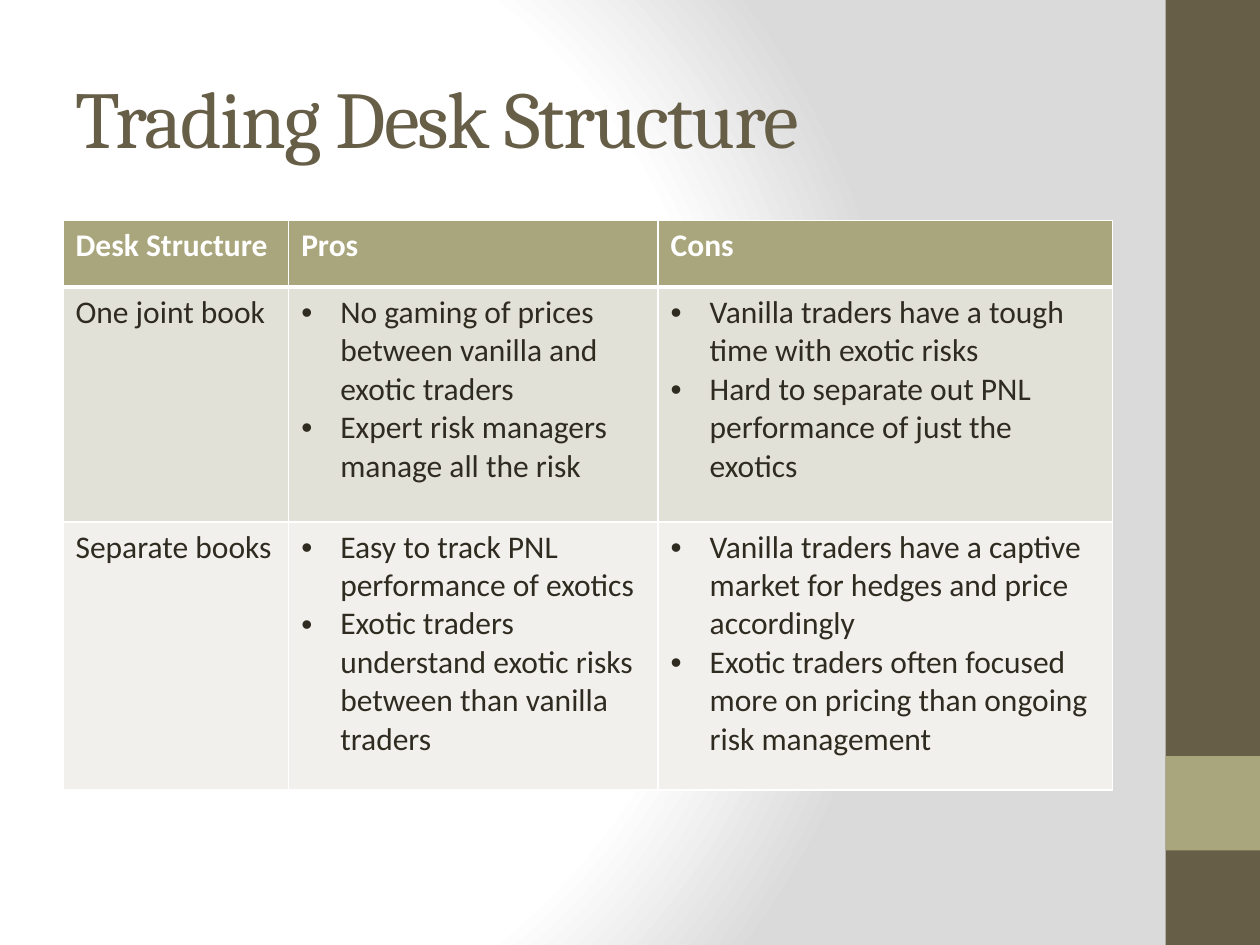
import pptx
import pptx.util
import pptx.dml.color
import pptx.enum.shapes
import pptx.enum.text
import pptx.oxml
import pptx.oxml.ns

RGB = pptx.dml.color.RGBColor
BROWN = RGB(0x67, 0x5E, 0x47)
OLIVE = RGB(0xA9, 0xA5, 0x7C)
INK = RGB(0x2F, 0x2B, 0x20)
WHITE = RGB(0xFF, 0xFF, 0xFF)
GREY = RGB(0xDA, 0xDA, 0xDA)
BANDS = [RGB(0xE2, 0xE1, 0xD7), RGB(0xF1, 0xF0, 0xEC)]
NS = pptx.oxml.ns.nsdecls("a")
W, H = 10, 7.5
INDENT = 0.31

HEADER = ["Desk Structure", "Pros", "Cons"]
BODY = [
    ["One joint book",
     ["No gaming of prices between vanilla and exotic traders",
      "Expert risk managers manage all the risk"],
     ["Vanilla traders have a tough time with exotic risks",
      "Hard to separate out PNL performance of just the exotics"]],
    ["Separate books",
     ["Easy to track PNL performance of exotics",
      "Exotic traders understand exotic risks between than vanilla traders"],
     ["Vanilla traders have a captive market for hedges and price accordingly",
      "Exotic traders often focused more on pricing than ongoing risk management"]],
]


def inches(*values):
    return [pptx.util.Inches(v) for v in values]


def add_text(tf, text, font="Calibri", size=18, color=INK, bold=False,
             spacing=None):
    """Write a string as plain text, or a list as bulleted paragraphs."""
    bulleted = isinstance(text, list)
    for i, line in enumerate(text if bulleted else [text]):
        p = tf.add_paragraph() if i else tf.paragraphs[0]
        p.alignment = pptx.enum.text.PP_ALIGN.LEFT
        if bulleted:
            pPr = p._p.get_or_add_pPr()
            pPr.set("marL", str(pptx.util.Inches(INDENT)))
            pPr.set("indent", str(-pptx.util.Inches(INDENT)))
            pPr.append(pptx.oxml.parse_xml(f'<a:buFont {NS} typeface="Arial"/>'))
            pPr.append(pptx.oxml.parse_xml(f'<a:buChar {NS} char="•"/>'))
        r = p.add_run()
        r.text = line
        r.font.name, r.font.size = font, pptx.util.Pt(size)
        r.font.bold, r.font.color.rgb = bold, color
        if spacing is not None:
            r._r.get_or_add_rPr().set("spc", str(spacing * 100))


def set_background(s):
    s.background.fill.solid()
    bgPr = s._element.find(".//" + pptx.oxml.ns.qn("p:bgPr"))
    stops = "".join(
        f'<a:gs pos="{pos * 1000}"><a:srgbClr val="{color}"/></a:gs>'
        for pos, color in [(0, WHITE), (75, WHITE), (100, GREY)])
    bgPr.replace(bgPr[0], pptx.oxml.parse_xml(
        f'<a:gradFill {NS} rotWithShape="1"><a:gsLst>{stops}</a:gsLst>'
        '<a:path path="circle"><a:fillToRect l="20000" t="50000" '
        'r="100000" b="50000"/></a:path></a:gradFill>'))


def add_sidebar(s, x, y, w, h):
    # Full-height band, with an accent square at four fifths of its height
    for top, height, color in [(y, h, BROWN), (y + 0.8 * h, w, OLIVE)]:
        sp = s.shapes.add_shape(pptx.enum.shapes.MSO_SHAPE.RECTANGLE,
                                *inches(x, top, w, height))
        sp.shadow.inherit = False
        sp.fill.solid()
        sp.fill.fore_color.rgb = color
        sp.line.fill.background()


def add_title(s, text, x, y, w, h):
    sp = s.shapes.title
    sp.left, sp.top, sp.width, sp.height = inches(x, y, w, h)
    tf = sp.text_frame
    tf.word_wrap = True
    tf.vertical_anchor = pptx.enum.text.MSO_ANCHOR.MIDDLE
    add_text(tf, text, font="Cambria", size=46, color=BROWN, spacing=-1)


def set_borders(cell, top=1, bottom=1):
    tcPr = cell._tc.get_or_add_tcPr()
    widths = [("lnL", 1), ("lnR", 1), ("lnT", top), ("lnB", bottom)]
    for i, (tag, width) in enumerate(widths):
        tcPr.insert(i, pptx.oxml.parse_xml(
            f'<a:{tag} {NS} w="{pptx.util.Pt(width)}"><a:solidFill>'
            f'<a:srgbClr val="{WHITE}"/></a:solidFill></a:{tag}>'))


def add_comparison(s, x, y, w, h):
    rows = [HEADER] + BODY
    table = s.shapes.add_table(len(rows), len(HEADER),
                               *inches(x, y, w, h)).table
    # Column and row sizes as shares of the box
    for col, share in zip(table.columns, [0.215, 0.352, 0.433]):
        col.width = pptx.util.Inches(w * share)
    for row, share in zip(table.rows, [0.117, 0.412, 0.471]):
        row.height = pptx.util.Inches(h * share)
    for i, texts in enumerate(rows):
        head = i == 0
        for j, text in enumerate(texts):
            cell = table.cell(i, j)
            cell.fill.solid()
            cell.fill.fore_color.rgb = OLIVE if head else BANDS[i - 1]
            set_borders(cell, top=3 if i == 1 else 1, bottom=3 if head else 1)
            add_text(cell.text_frame, text, bold=head,
                     color=WHITE if head else INK)


prs = pptx.Presentation()
prs.slide_width, prs.slide_height = inches(W, H)
s = prs.slides.add_slide(prs.slide_layouts[5])
set_background(s)
add_sidebar(s, 0.925 * W, 0, 0.075 * W, H)
add_title(s, "Trading Desk Structure", 0.05 * W, 0.04 * H, 8.33, 1.25)
add_comparison(s, 0.05 * W, 1.75, 8.33, 4.52)
prs.save("out.pptx")
